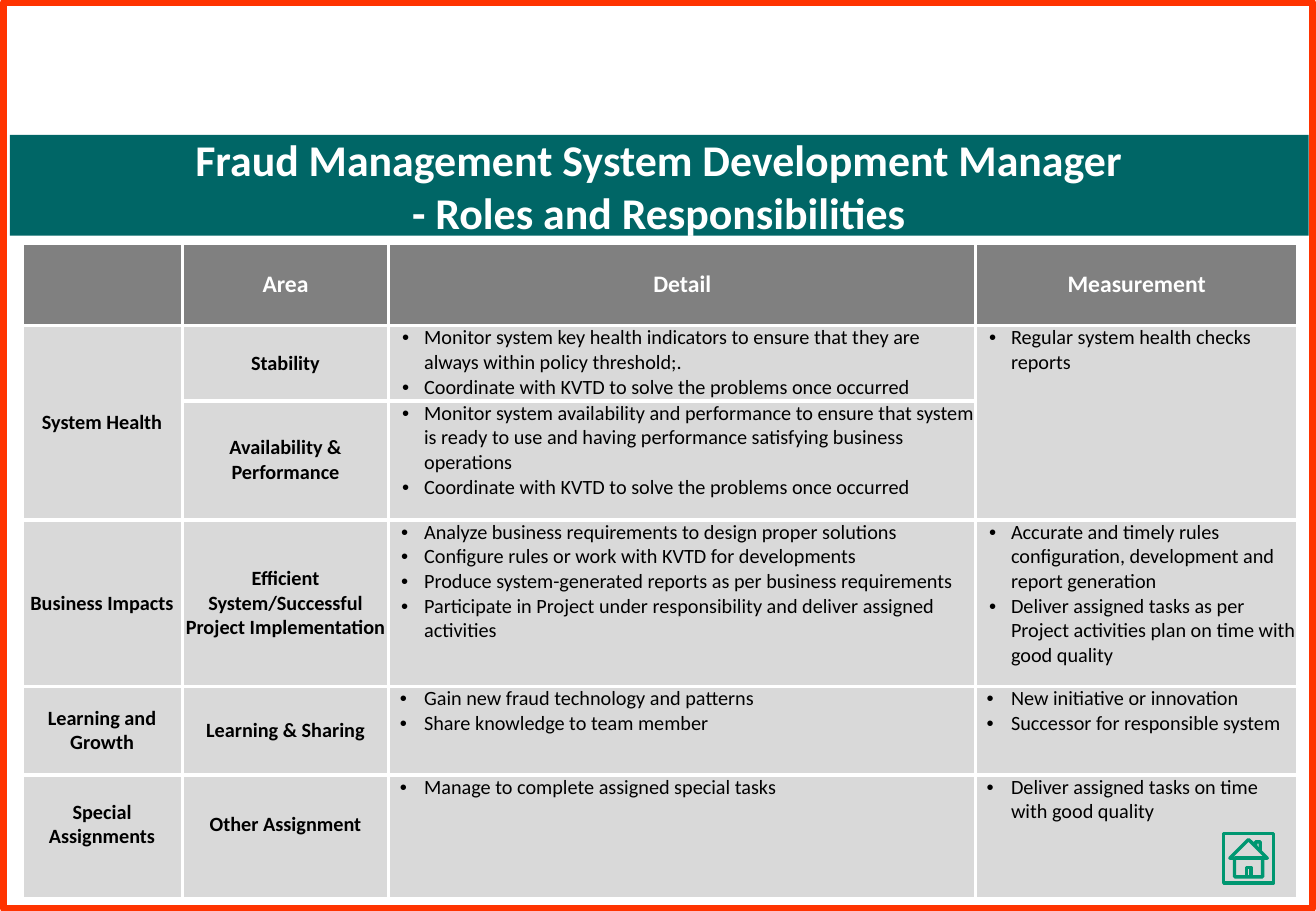
"""Build the roles and responsibilities slide of a fraud system manager."""
import dataclasses
from typing import Any

import lxml.etree
import pptx
import pptx.dml.color
import pptx.enum.shapes
import pptx.enum.text
import pptx.oxml.ns
import pptx.util

FONT = "Calibri"
WHITE, BLACK, GREY, SILVER = "FFFFFF", "000000", "808080", "D9D9D9"
TEAL, GREEN, RED = "006666", "009771", "FF3300"
SLIDE_WIDTH, SLIDE_HEIGHT = pptx.util.Inches(10.83), pptx.util.Inches(7.5)
COLUMN_SHARES = (12.19, 15.7, 44.6, 24.47)
ROW_SHARES = (9.07, 8.27, 13.07, 18.27, 9.73, 13.6)
BULLET_INDENT = 2.68
COORDINATE = "Coordinate with KVTD to solve the problems once occurred"


@dataclasses.dataclass(frozen=True)
class Box:
    """Place on the slide in percent of its width and height."""

    left: float
    top: float
    width: float
    height: float

    def lengths(self) -> tuple[int, int, int, int]:
        """Return left, top, width and height in EMU."""
        return across(self.left), down(self.top), across(self.width), down(self.height)


@dataclasses.dataclass(frozen=True)
class Entry:
    """One table cell, with a row span and room left below its text."""

    row: int
    column: int
    lines: tuple[str, ...]
    hang: float = 1.66
    rows: int = 1
    below: float = 0

    @property
    def is_header(self) -> bool:
        """Tell whether the cell is in the heading row."""
        return self.row == 0

    @property
    def is_label(self) -> bool:
        """Tell whether the text is centred and bold."""
        return self.is_header or self.column < 2


ENTRIES = (
    Entry(0, 0, ()),
    Entry(0, 1, ("Area",)),
    Entry(0, 2, ("Detail",)),
    Entry(0, 3, ("Measurement",)),
    Entry(1, 0, ("System Health",), rows=2),
    Entry(1, 1, ("Stability",)),
    Entry(1, 2, (
        "Monitor system key health indicators to ensure that they are "
        "always within policy threshold;.",
        COORDINATE)),
    Entry(1, 3, ("Regular system health checks reports",), rows=2),
    Entry(2, 1, ("Availability & Performance",)),
    Entry(2, 2, (
        "Monitor system availability and performance to ensure that system is "
        "ready to use and having performance satisfying business operations",
        COORDINATE)),
    Entry(3, 0, ("Business Impacts",)),
    Entry(3, 1, ("Efficient System/Successful Project Implementation",)),
    Entry(3, 2, (
        "Analyze business requirements to design proper solutions",
        "Configure rules or work with KVTD for developments",
        "Produce system-generated reports as per business requirements",
        "Participate in Project under responsibility and deliver assigned activities",
    ), hang=1.75),
    Entry(3, 3, (
        "Accurate and timely rules configuration, development and report generation",
        "Deliver assigned tasks as per Project activities plan on time with good quality")),
    Entry(4, 0, ("Learning and Growth",)),
    Entry(4, 1, ("Learning & Sharing",)),
    Entry(4, 2, (
        "Gain new fraud technology and patterns",
        "Share knowledge to team member"), hang=1.85),
    Entry(4, 3, (
        "New initiative or innovation",
        "Successor for responsible system"), hang=1.85),
    Entry(5, 0, ("Special Assignments",), below=2.67),
    Entry(5, 1, ("Other Assignment",), below=2.67),
    Entry(5, 2, ("Manage to complete assigned special tasks",), hang=1.85),
    Entry(5, 3, ("Deliver assigned tasks on time with good quality",), hang=1.85),
)


def across(share: float) -> int:
    """Turn a percentage of the slide's width into EMU."""
    return round(SLIDE_WIDTH * share / 100)


def down(share: float) -> int:
    """Turn a percentage of the slide's height into EMU."""
    return round(SLIDE_HEIGHT * share / 100)


def colour(value: str) -> pptx.dml.color.RGBColor:
    """Turn a hex string into a colour."""
    return pptx.dml.color.RGBColor.from_string(value)


def paint(fill: Any, value: str) -> None:
    """Give a fill one solid colour."""
    fill.solid()
    fill.fore_color.rgb = colour(value)


def write(frame: Any, lines: tuple[str, ...], size: float, ink: str,
          bold: bool, centred: bool) -> None:
    """Write each line as a paragraph with one run."""
    for index, line in enumerate(lines):
        paragraph = frame.paragraphs[0] if index == 0 else frame.add_paragraph()
        align = pptx.enum.text.PP_ALIGN
        paragraph.alignment = align.CENTER if centred else align.LEFT
        run = paragraph.add_run()
        run.text = line
        run.font.name, run.font.size, run.font.bold = FONT, pptx.util.Pt(size), bold
        run.font.color.rgb = colour(ink)


def add_bullets(frame: Any, hang: float) -> None:
    """Put a hanging bullet before every paragraph."""
    for paragraph in frame.paragraphs:
        properties = paragraph._p.get_or_add_pPr()
        properties.set("marL", str(across(BULLET_INDENT)))
        properties.set("indent", str(-across(hang)))
        typeface = lxml.etree.SubElement(properties, pptx.oxml.ns.qn("a:buFont"))
        typeface.set("typeface", "Arial")
        bullet = lxml.etree.SubElement(properties, pptx.oxml.ns.qn("a:buChar"))
        bullet.set("char", "•")


def add_borders(cell: Any) -> None:
    """Draw white lines on all four sides of a cell."""
    properties = cell._tc.get_or_add_tcPr()
    for index, side in enumerate(("lnL", "lnR", "lnT", "lnB")):
        line = lxml.etree.Element(pptx.oxml.ns.qn(f"a:{side}"))
        line.set("w", str(pptx.util.Pt(2.25)))
        solid = lxml.etree.SubElement(line, pptx.oxml.ns.qn("a:solidFill"))
        lxml.etree.SubElement(solid, pptx.oxml.ns.qn("a:srgbClr")).set("val", WHITE)
        properties.insert(index, line)


def add_outline(slide: Any, preset: Any, box: Box, ink: str, weight: float) -> None:
    """Add an unfilled preset shape."""
    outline = slide.shapes.add_shape(preset, *box.lengths())
    outline.shadow.inherit = False
    outline.fill.background()
    outline.line.color.rgb = colour(ink)
    outline.line.width = pptx.util.Pt(weight)


def add_banner(slide: Any, box: Box) -> None:
    """Place the title on its teal band."""
    banner = slide.shapes.title
    banner.left, banner.top, banner.width, banner.height = box.lengths()
    paint(banner.fill, TEAL)
    frame = banner.text_frame
    frame.word_wrap = True
    frame.auto_size = pptx.enum.text.MSO_AUTO_SIZE.NONE
    frame.vertical_anchor = pptx.enum.text.MSO_ANCHOR.MIDDLE
    write(frame, ("Fraud Management System Development Manager",
                  "- Roles and Responsibilities"), 26, WHITE, True, True)


def add_roles(slide: Any, left: float, top: float) -> None:
    """Add the table of areas, details and measurements."""
    box = Box(left, top, sum(COLUMN_SHARES), sum(ROW_SHARES))
    roles = slide.shapes.add_table(
        len(ROW_SHARES), len(COLUMN_SHARES), *box.lengths()).table
    roles.first_row = roles.horz_banding = False
    for column, share in zip(roles.columns, COLUMN_SHARES):
        column.width = across(share)
    for row, share in zip(roles.rows, ROW_SHARES):
        row.height = down(share)
    for cell in roles.iter_cells():
        paint(cell.fill, SILVER)
        add_borders(cell)
    for entry in ENTRIES:
        cell = roles.cell(entry.row, entry.column)
        if entry.rows > 1:
            cell.merge(roles.cell(entry.row + entry.rows - 1, entry.column))
        cell.margin_left = cell.margin_right = cell.margin_top = 0
        cell.margin_bottom = down(entry.below)
        anchor = pptx.enum.text.MSO_ANCHOR
        cell.vertical_anchor = anchor.MIDDLE if entry.is_label else anchor.TOP
        size, ink = (14, WHITE) if entry.is_header else (12, BLACK)
        if entry.is_header:
            paint(cell.fill, GREY)
        write(cell.text_frame, entry.lines, size, ink, entry.is_label, entry.is_label)
        if not entry.is_label:
            add_bullets(cell.text_frame, entry.hang)


def main() -> None:
    """Build and save the slide."""
    deck = pptx.Presentation()
    deck.slide_width, deck.slide_height = SLIDE_WIDTH, SLIDE_HEIGHT
    slide = deck.slides.add_slide(deck.slide_layouts[5])
    presets = pptx.enum.shapes.MSO_SHAPE
    add_outline(slide, presets.RECTANGLE, Box(0.28, 0.27, 99.45, 99.47), RED, 4.5)
    add_banner(slide, Box(0.74, 14.8, 98.71, 11.07))
    add_roles(slide, 1.66, 26.67)
    add_outline(slide, presets.ACTION_BUTTON_HOME, Box(92.98, 91.47, 3.79, 5.47), GREEN, 2)
    deck.save("out.pptx")


if __name__ == "__main__":
    main()
